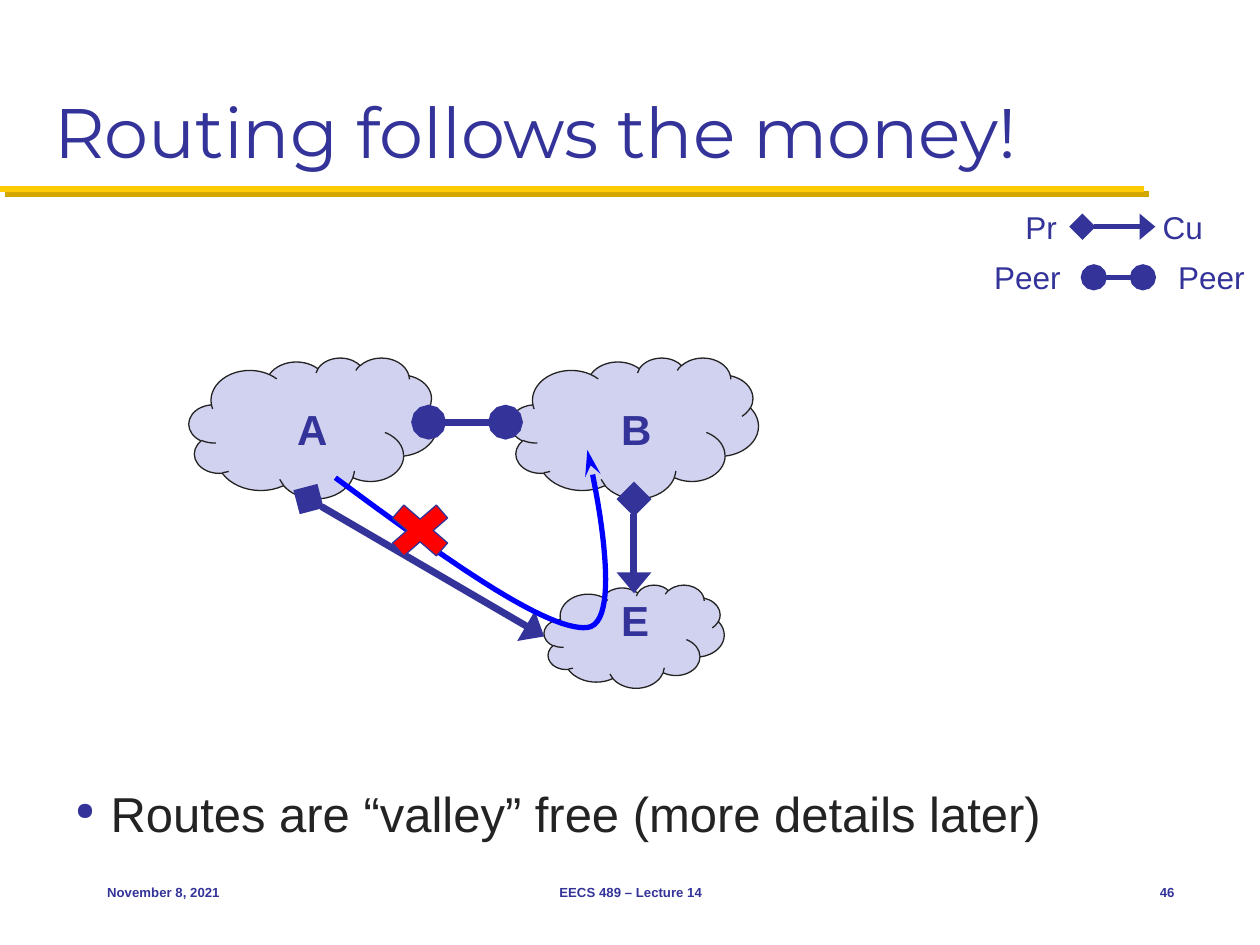
from dataclasses import dataclass

from pptx import Presentation
from pptx.dml.color import RGBColor
from pptx.enum.shapes import MSO_CONNECTOR, MSO_SHAPE
from pptx.enum.text import MSO_ANCHOR, MSO_AUTO_SIZE, PP_ALIGN
from pptx.oxml import parse_xml
from pptx.oxml.ns import nsdecls
from pptx.util import Cm, Pt

COLOURS = {
    "navy": "333399",
    "ink": "232323",
    "cloud": "D1D1F0",
    "gold": "FFCB05",
    "gold_shadow": "D3A600",
    "route": "0000FF",
    "cross": "FF0000",
}
HEAD_SIZES = {
    "oval": ("lg", "lg"),
    "diamond": ("lg", "lg"),
    "triangle": ("lg", "med"),
    "stealth": ("med", "lg"),
}


@dataclass
class Figure:
    preset: MSO_SHAPE
    left: float
    top: float
    width: float
    height: float
    fill: str
    line: str


@dataclass
class Link:
    start: tuple
    end: tuple
    width: float
    head: str
    tail: str


@dataclass
class Label:
    text: str
    left: float
    top: float
    width: float
    height: float
    size: float
    bold: bool = False
    align: PP_ALIGN = PP_ALIGN.LEFT
    anchor: MSO_ANCHOR = MSO_ANCHOR.TOP
    colour: str = "navy"
    wrap: bool = False


FIGURES = [
    Figure(MSO_SHAPE.CLOUD, 10.97, 11.79, 3.63, 2.08, "cloud", "ink"),
    Figure(MSO_SHAPE.CLOUD, 10.29, 7.21, 5, 2.84, "cloud", "ink"),
    Figure(MSO_SHAPE.CLOUD, 3.81, 7.21, 5, 2.84, "cloud", "ink"),
]
CROSS = Figure(MSO_SHAPE.MATH_MULTIPLY, 7.62, 9.96, 1.7, 1.47, "cross", "navy")
LINKS = [
    Link((8.64, 8.51), (10.19, 8.51), 4, "oval", "oval"),
    Link((6.22, 10.06), (10.97, 12.83), 4, "diamond", "triangle"),
    Link((12.78, 10.06), (12.78, 11.96), 4, "diamond", "triangle"),
    Link((21.82, 4.57), (23.29, 4.57), 3, "diamond", "triangle"),
    Link((22.05, 5.59), (23.04, 5.59), 3, "oval", "oval"),
]
LABELS = [
    Label("A", 5.74, 8, 1.12, 1.2, 24, True),
    Label("B", 12.27, 8, 1.12, 1.2, 24, True),
    Label("E", 12.27, 11.86, 1.12, 1.2, 24, True),
    Label("Pr", 20.42, 4.06, 1.19, 1.02, 18),
    Label("Cu", 23.19, 4.06, 1.37, 1.02, 18),
    Label("Peer", 19.79, 5.08, 1.9, 1.02, 18),
    Label("Peer", 23.5, 5.08, 1.9, 1.02, 18),
]
FOOTERS = [
    Label("November 8, 2021", 1.91, 17.35, 5.28, 1.27, 7.5, True, PP_ALIGN.LEFT, MSO_ANCHOR.MIDDLE),
    Label("EECS 489 – Lecture 14", 8.69, 17.35, 8.05, 1.27, 7.5, True, PP_ALIGN.CENTER, MSO_ANCHOR.MIDDLE),
    Label("46", 22.23, 17.35, 1.7, 1.27, 7.5, True, PP_ALIGN.RIGHT, MSO_ANCHOR.MIDDLE),
]
POINT = Label("Routes are “valley” free (more details later)", 1.27, 15.67, 22.86, 2.97, 28, colour="ink", wrap=True)
ROUTE = [
    ((6.76, 9.63), (8.86, 11.18), (11, 12.73), (11.84, 12.65)),
    ((11.84, 12.65), (12.67, 12.55), (11.84, 9.07), (11.84, 9.07)),
]


def rgb(name: str) -> RGBColor:
    return RGBColor.from_string(COLOURS[name])


def apply(target, values: dict) -> None:
    for name, value in values.items():
        setattr(target, name, value)


def set_line(shape, colour: str, width: float) -> None:
    shape.line.color.rgb = rgb(colour)
    shape.line.width = Pt(width)


def add_ends(shape, **ends: str) -> None:
    outline = shape.line._get_or_add_ln()
    for end, kind in ends.items():
        width, length = HEAD_SIZES[kind]
        outline.append(parse_xml(
            f'<a:{end}End {nsdecls("a")} type="{kind}" w="{width}" len="{length}"/>'))


def add_line(page, start: tuple, end: tuple, colour: str, width: float, effect: str = ""):
    line = page.shapes.add_connector(
        MSO_CONNECTOR.STRAIGHT, *(Cm(value) for value in (*start, *end)))
    set_line(line, colour, width)
    line._element.spPr.append(parse_xml(
        f'<a:effectLst {nsdecls("a")}>{effect}</a:effectLst>'))
    return line


def add_link(page, link: Link) -> None:
    line = add_line(page, link.start, link.end, "navy", link.width)
    add_ends(line, head=link.head, tail=link.tail)


def add_figure(page, figure: Figure) -> None:
    shape = page.shapes.add_shape(figure.preset, *(
        Cm(value) for value in (figure.left, figure.top, figure.width, figure.height)))
    shape.shadow.inherit = False
    shape.fill.solid()
    shape.fill.fore_color.rgb = rgb(figure.fill)
    set_line(shape, figure.line, 0.75)


def write(frame, text: str, colour: str, align: PP_ALIGN, font: dict):
    para = frame.paragraphs[0]
    para.alignment = align
    span = para.add_run()
    span.text = text
    apply(span.font, font)
    span.font.color.rgb = rgb(colour)
    return para


def add_label(page, label: Label):
    box = page.shapes.add_textbox(*(
        Cm(value) for value in (label.left, label.top, label.width, label.height)))
    apply(box.text_frame, {"word_wrap": label.wrap, "vertical_anchor": label.anchor})
    return write(box.text_frame, label.text, label.colour, label.align,
                 {"name": "Arial", "size": Pt(label.size), "bold": label.bold})


def add_bullet(para) -> None:
    properties = para._p.get_or_add_pPr()
    properties.set("marL", str(Cm(0.71)))
    properties.set("indent", str(-Cm(0.71)))
    for markup in (f'buClr {nsdecls("a")}><a:srgbClr val="{COLOURS["navy"]}"/></a:buClr>',
                   f'buSzPct {nsdecls("a")} val="50000"/>',
                   f'buChar {nsdecls("a")} char="●"/>'):
        properties.append(parse_xml(f"<a:{markup}"))


def curve_points(curve: tuple, steps: int = 30) -> list:
    points = []
    for step in range(1, steps + 1):
        t = step / steps
        weights = ((1 - t) ** 3, 3 * t * (1 - t) ** 2, 3 * t ** 2 * (1 - t), t ** 3)
        points.append(tuple(
            Cm(sum(weight * value for weight, value in zip(weights, axis)))
            for axis in zip(*curve)))
    return points


def add_route(page) -> None:
    left, top = ROUTE[0][0]
    builder = page.shapes.build_freeform(Cm(left), Cm(top))
    for curve in ROUTE:
        builder.add_line_segments(curve_points(curve), close=False)
    route = builder.convert_to_shape()
    route.shadow.inherit = False
    route.fill.background()
    set_line(route, "route", 3)
    add_ends(route, tail="stealth")


def add_title(page) -> None:
    title = page.shapes.title
    apply(title, {"left": Cm(0.84), "top": Cm(0.43), "width": Cm(23.7), "height": Cm(3.18)})
    apply(title.text_frame, {"vertical_anchor": MSO_ANCHOR.BOTTOM, "word_wrap": True,
                             "auto_size": MSO_AUTO_SIZE.NONE})
    write(title.text_frame, "Routing follows the money!", "navy", PP_ALIGN.LEFT,
          {"name": "Montserrat", "size": Pt(40)})


def main() -> None:
    deck = Presentation()
    apply(deck, {"slide_width": Cm(25.4), "slide_height": Cm(19.05)})
    page = deck.slides.add_slide(deck.slide_layouts[5])
    shadow = (f'<a:outerShdw dist="{Pt(4.2)}" dir="2700000" algn="ctr" rotWithShape="0">'
              f'<a:srgbClr val="{COLOURS["gold_shadow"]}"/></a:outerShdw>')
    add_line(page, (0, 3.81), (23.06, 3.81), "gold", 3.5, shadow)
    add_title(page)
    for figure in FIGURES:
        add_figure(page, figure)
    for link in LINKS:
        add_link(page, link)
    for label in LABELS:
        add_label(page, label)
    add_bullet(add_label(page, POINT))
    add_route(page)
    add_figure(page, CROSS)
    for footer in FOOTERS:
        add_label(page, footer)
    deck.save("out.pptx")


if __name__ == "__main__":
    main()
